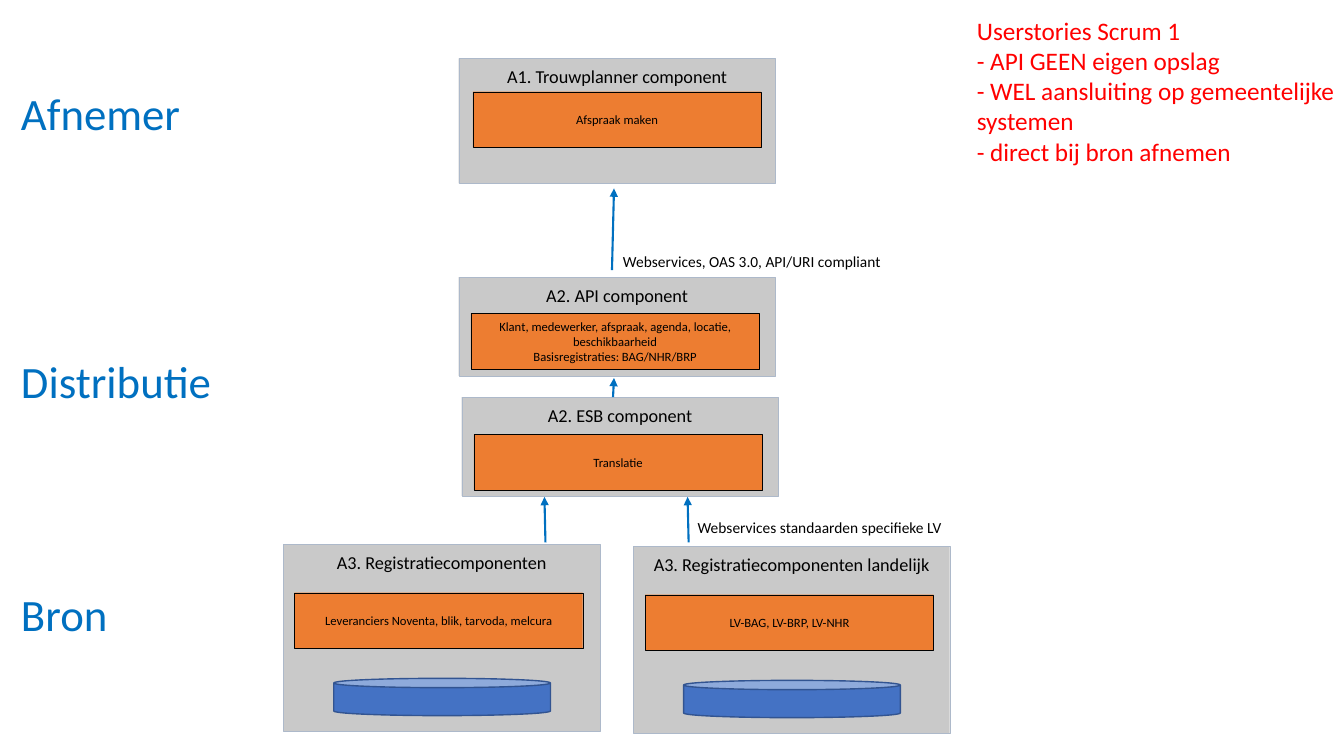
from lxml.etree import SubElement
from pptx import Presentation
from pptx.dml.color import RGBColor
from pptx.enum.shapes import MSO_CONNECTOR as Connector, MSO_SHAPE as Shape
from pptx.enum.text import MSO_ANCHOR as Anchor, PP_ALIGN as Align
from pptx.oxml.ns import qn
from pptx.util import Inches, Pt

BLACK, BLUE, RED = "000000", "0070C0", "FF0000"
PANEL_WIDTH = 3.14

# left, top, height, title, (inset x, inset y), inner text lines
COMPONENTS = [
    (4.55, 0.58, 1.24, "A1. Trouwplanner component", (0.14, 0.33), ["Afspraak maken"]),
    (4.55, 2.75, 0.98, "A2. API component", (0.12, 0.36),
     ["Klant, medewerker, afspraak, agenda, locatie, beschikbaarheid",
      "Basisregistraties:\u00a0BAG/NHR/BRP"]),
    (4.58, 3.94, 0.98, "A2. ESB component", (0.12, 0.37), ["Translatie"]),
    (2.81, 5.4, 1.85, "A3. Registratiecomponenten", (0.11, 0.48),
     ["Leveranciers Noventa, blik, tarvoda, melcura"]),
    (6.28, 5.42, 1.85, "A3. Registratiecomponenten landelijk", (0.12, 0.48),
     ["LV-BAG, LV-BRP, LV-NHR"]),
]
DATABASES = [(3.31, 6.73), (6.78, 6.75)]
ARROWS = [
    (6.07, 2.68, 6.09, 1.87),
    (6.08, 3.94, 6.09, 3.75),
    (5.41, 5.38, 5.4, 4.93),
    (6.83, 5.38, 6.82, 4.93),
]
LAYERS = [("Afnemer", 0.8), ("Distributie", 3.46), ("Bron", 5.77)]
INTERFACES = [
    (6.08, 2.45, 2.85, "Webservices, OAS 3.0, API/URI compliant"),
    (6.82, 5.09, 2.72, "Webservices\u00a0standaarden specifieke LV"),
]
STORIES = ["Userstories Scrum 1", "- API GEEN eigen opslag",
           "- WEL aansluiting op gemeentelijke systemen", "- direct bij bron afnemen"]


def color(value):
    """Turn a hex string into a colour."""
    return RGBColor.from_string(value)


def write(shape, lines, size, ink=BLACK, align=Align.LEFT, anchor=Anchor.TOP, margins=(0.1, 0.05)):
    """Fill a shape with one paragraph per line."""
    frame = shape.text_frame
    across, down = map(Inches, margins)
    settings = {"word_wrap": True, "vertical_anchor": anchor, "margin_left": across,
                "margin_right": across, "margin_top": down, "margin_bottom": down}
    for name, value in settings.items():
        setattr(frame, name, value)
    frame.text = "\n".join(lines)
    for para in frame.paragraphs:
        para.alignment = align
        for span in para.runs:
            for name, value in {"name": "Calibri", "size": Pt(size)}.items():
                setattr(span.font, name, value)
            span.font.color.rgb = color(ink)


def add_block(page, kind, area, fill, line, weight):
    """Draw a filled, outlined shape without shadow."""
    block = page.shapes.add_shape(kind, *map(Inches, area))
    block.shadow.inherit = False
    block.fill.solid()
    block.fill.fore_color.rgb = color(fill)
    block.line.color.rgb = color(line)
    block.line.width = Pt(weight)
    return block


def add_component(page, left, top, height, title, inset, lines):
    """Draw a titled grey panel with its orange function box."""
    panel = add_block(page, Shape.RECTANGLE, (left, top, PANEL_WIDTH, height),
                      "C9C9C9", "ADB9CA", 0.25)
    write(panel, [title], 13, align=Align.CENTER, margins=(0.14, 0.07))
    area = (left + inset[0], top + inset[1], 2.86, 0.55)
    function = add_block(page, Shape.RECTANGLE, area, "ED7D31", BLACK, 0.25)
    write(function, lines, 9, align=Align.CENTER, anchor=Anchor.MIDDLE)


def add_label(page, area, lines, size, ink=BLACK):
    """Place free text."""
    write(page.shapes.add_textbox(*map(Inches, area)), lines, size, ink)


def add_arrow(page, *ends):
    """Draw a blue arrow from its start to its end point."""
    arrow = page.shapes.add_connector(Connector.STRAIGHT, *map(Inches, ends))
    arrow.line.color.rgb = color(BLUE)
    arrow.line.width = Pt(1.5)
    SubElement(arrow.line._get_or_add_ln(), qn("a:tailEnd"), type="triangle")
    SubElement(arrow._element.spPr, qn("a:effectLst"))


def main():
    """Build the component diagram and save it."""
    deck = Presentation()
    deck.slide_width, deck.slide_height = Inches(13.33), Inches(7.5)
    page = deck.slides.add_slide(deck.slide_layouts[6])
    for component in COMPONENTS:
        add_component(page, *component)
    for left, top in DATABASES:
        add_block(page, Shape.CAN, (left, top, 2.15, 0.37), "4472C4", "325491", 1)
    for ends in ARROWS:
        add_arrow(page, *ends)
    for left, top, width, text in INTERFACES:
        add_label(page, (left, top, width, 0.29), [text], 11)
    for name, top in LAYERS:
        add_label(page, (0.11, top, 3.82, 0.64), [name], 32, BLUE)
    add_label(page, (9.59, 0.1, 3.82, 1.62), STORIES, 18, RED)
    deck.save("out.pptx")


main()
